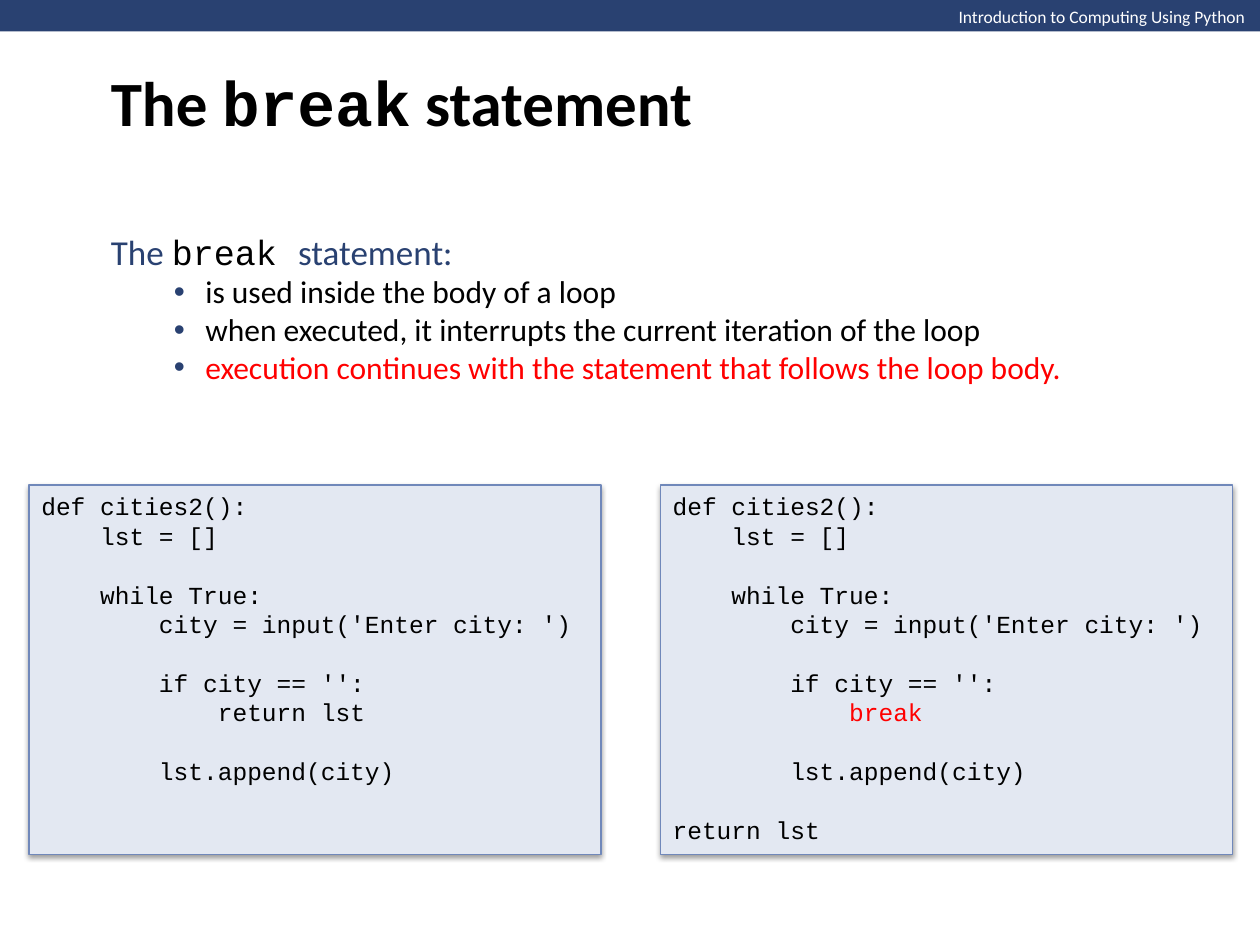
from lxml import etree
from pptx import Presentation
from pptx import util as u
from pptx.dml.color import RGBColor
from pptx.enum import shapes, text
from pptx.oxml import parse_xml
from pptx.oxml.ns import nsdecls, qn

COLORS = {"navy": "294171", "white": "FFFFFF", "black": "000000", "red": "FF0000",
          "panel": "E3E8F2", "edge": "7088BA"}
LINE_HEIGHT = 16.8
CODE_INDENT = 0.467


def add_text(paragraph, words, size=18, font="Calibri", color="black", bold=False):
    run = paragraph.add_run()
    run.text = words
    run.font.size = u.Pt(size)
    run.font.name = font
    run.font.bold = bold
    run.font.color.rgb = RGBColor.from_string(COLORS[color])


def format_paragraph(paragraph, margin=0, hanging=0, bullet=None):
    paragraph.alignment = text.PP_ALIGN.LEFT
    paragraph.space_before = paragraph.space_after = u.Pt(0)
    props = paragraph._p.get_or_add_pPr()
    props.set("marL", str(u.Inches(margin)))
    props.set("indent", str(u.Inches(-hanging)))
    if bullet:
        bullet_color = etree.SubElement(props, qn("a:buClr"))
        etree.SubElement(bullet_color, qn("a:srgbClr"), val=COLORS["navy"])
        etree.SubElement(props, qn("a:buFont"), typeface="Arial")
        etree.SubElement(props, qn("a:buChar"), char=bullet)
    else:
        etree.SubElement(props, qn("a:buNone"))


deck = Presentation()
deck.slide_width, deck.slide_height = u.Inches(10), u.Inches(7.5)
slide = deck.slides.add_slide(deck.slide_layouts[1])

banner = slide.shapes.add_shape(shapes.MSO_SHAPE.RECTANGLE, 0, 0, u.Inches(10), u.Inches(0.25))
banner.shadow.inherit = False
banner.fill.solid()
banner.fill.fore_color.rgb = RGBColor.from_string(COLORS["navy"])
banner.line.fill.background()

course = slide.shapes.add_textbox(u.Inches(7.51), 0, u.Inches(2.5), u.Inches(0.27))
course.text_frame.word_wrap = False
add_text(course.text_frame.paragraphs[0], "Introduction to Computing Using Python",
         size=10, color="white")

title, body = slide.shapes.title, slide.placeholders[1]
for part, top, height in ((title, 0, 1.61), (body, 1.77, 1.35)):
    part.left, part.top = u.Inches(0.78), u.Inches(top)
    part.width, part.height = u.Inches(8.5), u.Inches(height)
    part.text_frame.auto_size = text.MSO_AUTO_SIZE.NONE
    part.text_frame.vertical_anchor = text.MSO_ANCHOR.MIDDLE

heading = title.text_frame.paragraphs[0]
format_paragraph(heading)
for words, font in (("The ", "Calibri"), ("break", "Courier New"), (" statement", "Calibri")):
    add_text(heading, words, size=36, font=font, bold=True)

intro = body.text_frame.paragraphs[0]
format_paragraph(intro)
add_text(intro, "The ", size=20, color="navy")
add_text(intro, "break ", size=20, font="Courier New")
add_text(intro, "statement:", size=20, color="navy")

facts = (
    ("is used inside the body of a loop", "black"),
    ("when executed, it interrupts the current iteration of the loop", "black"),
    ("execution continues with the statement that follows the loop body.", "red"),
)
for words, color in facts:
    fact = body.text_frame.add_paragraph()
    fact.level = 1
    format_paragraph(fact, margin=0.75, hanging=0.25, bullet="•")
    add_text(fact, words, color=color)

opening = [
    (0, False, "def cities2():", "black"),
    (1, False, "lst = []", "black"),
    (1, True, "while True:", "black"),
    (2, False, "city = input('Enter city: ')", "black"),
    (2, True, "if city == '':", "black"),
]
append = (2, True, "lst.append(city)", "black")
listings = (
    (0.23, opening + [(3, False, "return lst", "black"), append]),
    (5.24, opening + [(3, False, "break", "red"), append, (0, True, "return lst", "black")]),
)
for left, lines in listings:
    panel = slide.shapes.add_shape(shapes.MSO_SHAPE.RECTANGLE, u.Inches(left), u.Inches(3.85),
                                   u.Inches(4.54), u.Inches(2.93))
    panel.fill.solid()
    panel.fill.fore_color.rgb = RGBColor.from_string(COLORS["panel"])
    panel.line.color.rgb = RGBColor.from_string(COLORS["edge"])
    panel.line.width = u.Pt(0.75)
    panel._element.spPr.append(parse_xml(
        f'<a:effectLst {nsdecls("a")}><a:outerShdw blurRad="{u.Pt(3.1)}" dist="{u.Pt(1.6)}" '
        'dir="5400000" rotWithShape="0"><a:srgbClr val="000000"><a:alpha val="38000"/>'
        '</a:srgbClr></a:outerShdw></a:effectLst>'))
    code = panel.text_frame
    code.word_wrap = True
    code.vertical_anchor = text.MSO_ANCHOR.TOP
    for number, (depth, gap, words, color) in enumerate(lines):
        line = code.add_paragraph() if number else code.paragraphs[0]
        format_paragraph(line, margin=depth * CODE_INDENT)
        line.line_spacing = u.Pt(LINE_HEIGHT)
        line.space_before = u.Pt(LINE_HEIGHT if gap else 0)
        add_text(line, words, size=14, font="Courier New", color=color)

deck.save("out.pptx")
